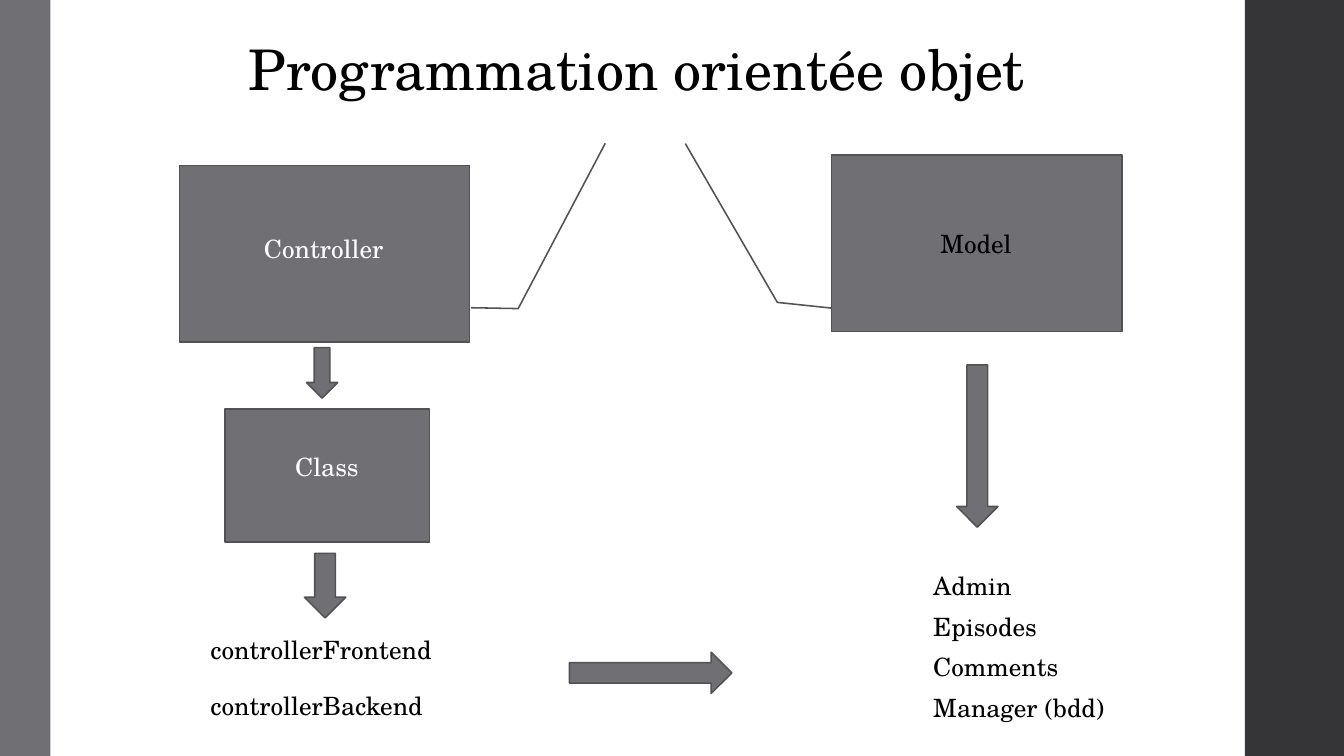
from dataclasses import dataclass

import pptx
import pptx.dml.color
import pptx.enum.shapes
import pptx.enum.text
import pptx.util

SHAPES = pptx.enum.shapes.MSO_SHAPE
COLUMNS, ROWS = 40, 30
WIDTH, HEIGHT = pptx.util.Inches(13.33), pptx.util.Inches(7.5)


@dataclass(frozen=True)
class Theme:
    font: str = "TeX Gyre Schola"
    title_size: float = 40
    label_size: float = 18
    outline_width: float = 1.1
    ink: str = "000000"
    paper: str = "FFFFFF"
    grey: str = "6F6F74"
    outline: str = "525256"
    dark: str = "353537"


@dataclass(frozen=True)
class Box:
    left: float
    top: float
    width: float
    height: float

    def inner(self, left, top, width, height):
        return Box(self.left + left, self.top + top, width, height)

    def lengths(self):
        return (
            round(self.left * WIDTH / COLUMNS),
            round(self.top * HEIGHT / ROWS),
            round(self.width * WIDTH / COLUMNS),
            round(self.height * HEIGHT / ROWS),
        )


THEME = Theme()


def colour(value):
    return pptx.dml.color.RGBColor.from_string(value)


def draw(slide, kind, box, fill=THEME.grey, outlined=True, rotation=0):
    figure = slide.shapes.add_shape(kind, *box.lengths())
    figure.shadow.inherit = False
    figure.rotation = rotation
    figure.fill.solid()
    figure.fill.fore_color.rgb = colour(fill)
    if outlined:
        figure.line.color.rgb = colour(THEME.outline)
        figure.line.width = pptx.util.Pt(THEME.outline_width)
    else:
        figure.line.fill.background()
    return figure


def write(slide, box, words, size=THEME.label_size, ink=THEME.ink):
    frame = slide.shapes.add_textbox(*box.lengths()).text_frame
    frame.word_wrap = True
    frame.auto_size = pptx.enum.text.MSO_AUTO_SIZE.SHAPE_TO_FIT_TEXT
    run = frame.paragraphs[0].add_run()
    run.text = words
    run.font.name = THEME.font
    run.font.size = pptx.util.Pt(size)
    run.font.color.rgb = colour(ink)


def write_list(slide, box, step, names):
    for index, name in enumerate(names):
        write(slide, box.inner(0, index * step, box.width, box.height), name)


def draw_callout(slide, box, pointer):
    callout = draw(slide, SHAPES.LINE_CALLOUT_2, box, rotation=180)
    for index, share in enumerate(pointer):
        callout.adjustments[index] = share


def side_bands(slide, box):
    draw(slide, SHAPES.RECTANGLE, box.inner(37.05, 0, 2.95, box.height), THEME.dark, False)
    draw(slide, SHAPES.RECTANGLE, box.inner(0, 0, 1.5, box.height), THEME.grey, False)


def controller_column(slide, box):
    draw_callout(slide, box.inner(0, 0, box.width, 7),
                 (0.193, -0.005, 0.188, -0.167, 1.125, -0.467))
    write(slide, box.inner(2.22, 2.52, 6.06, 1.6), "Controller", ink=THEME.paper)
    draw(slide, SHAPES.DOWN_ARROW, box.inner(3.78, 7.24, 0.93, 2))
    class_box = box.inner(1.35, 9.68, 6.09, 5.28)
    draw(slide, SHAPES.RECTANGLE, class_box)
    write(slide, class_box.inner(1.8, 1.48, 7.11, 1.6), "Class", ink=THEME.paper)
    draw(slide, SHAPES.DOWN_ARROW, box.inner(3.72, 15.4, 1.23, 2.56))
    write_list(slide, box.inner(0.63, 18.4, 8.01, 1.6), 2.24,
               ("controllerFrontend", "controllerBackend"))


def model_column(slide, box):
    draw_callout(slide, box.inner(0, 0, box.width, 7),
                 (0.134, 1.002, 0.166, 1.187, 1.066, 1.504))
    write(slide, box.inner(2.94, 2.72, 5.22, 1.6), "Model")
    draw(slide, SHAPES.DOWN_ARROW, box.inner(3.72, 8.32, 1.23, 6.44))
    write_list(slide, box.inner(2.73, 16.28, 8.01, 1.6), 1.61,
               ("Admin", "Episodes", "Comments", "Manager (bdd)"))


def object_slide(deck):
    slide = deck.slides.add_slide(deck.slide_layouts[6])
    slide.background.fill.solid()
    slide.background.fill.fore_color.rgb = colour(THEME.paper)
    side_bands(slide, Box(0, 0, COLUMNS, ROWS))
    write(slide, Box(7.11, 1.16, 27.07, 3.08), "Programmation orientée objet",
          size=THEME.title_size)
    controller_column(slide, Box(5.34, 6.56, 8.64, 22.24))
    model_column(slide, Box(24.75, 6.16, 8.64, 22.64))
    draw(slide, SHAPES.DOWN_ARROW, Box(18.75, 23.48, 1.23, 6.44), rotation=270)


def main():
    deck = pptx.Presentation()
    deck.slide_width, deck.slide_height = WIDTH, HEIGHT
    object_slide(deck)
    deck.save("out.pptx")


if __name__ == "__main__":
    main()
